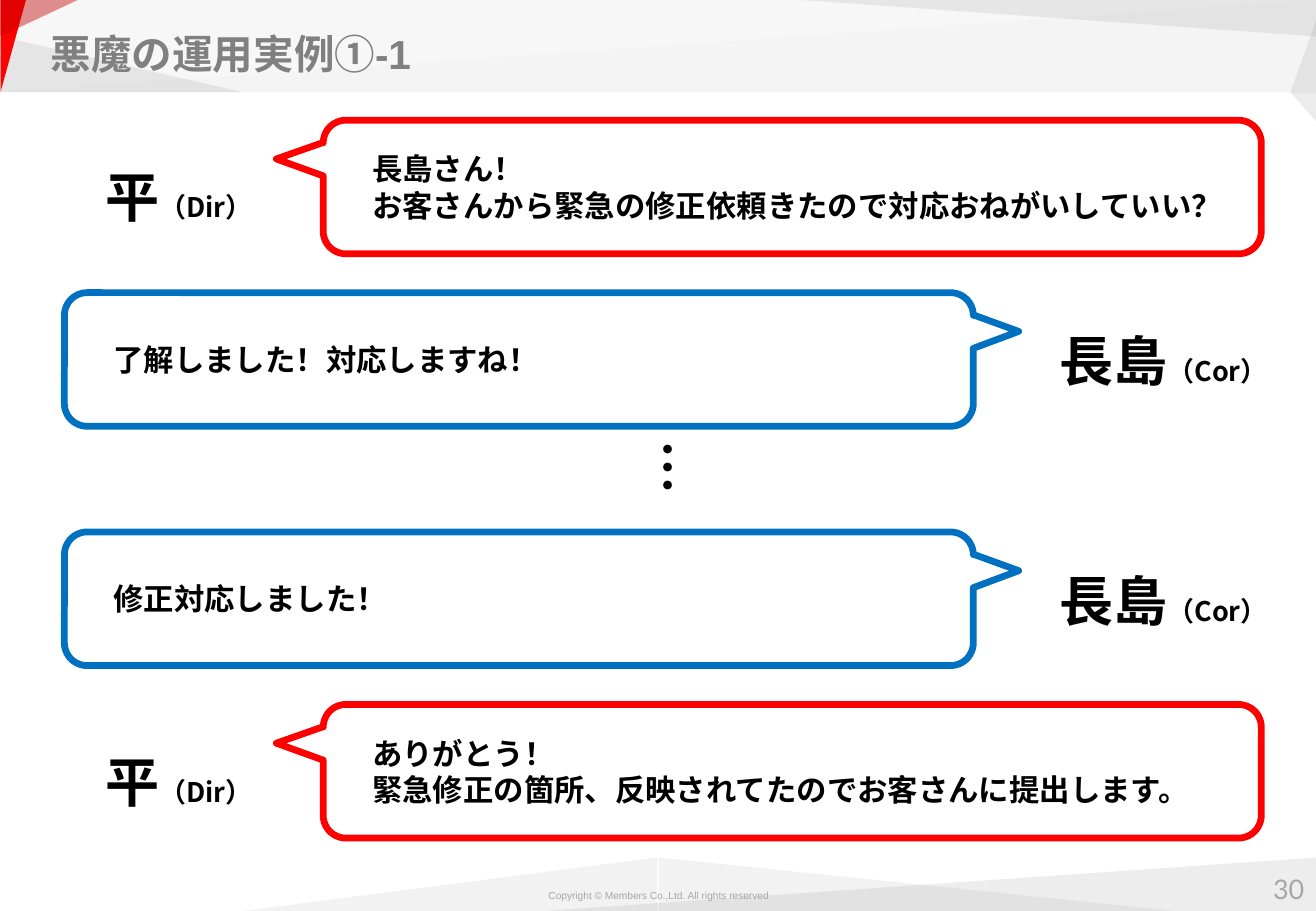
from pptx import Presentation, util as u
from pptx.dml.color import RGBColor
from pptx.enum import shapes, text
from pptx.oxml.ns import qn
from lxml import etree

theme = dict(
    red="FF0000", blue="0070C0", wine="C00000", black="000000", white="FFFFFF",
    gray="808080", mid="A6A6A6", pale="BFBFBF",
    sans="Arial", cjk="Noto Sans CJK JP", lato="Lato",
    title=24, name=32, role=16, talk=18, page=16, note=6, line=4)

cols, rows = 1083, 750
deck = Presentation()
deck.slide_width, deck.slide_height = u.Inches(10.83), u.Inches(7.5)
cell = deck.slide_width / cols
slide = deck.slides.add_slide(deck.slide_layouts[6])


def grid(*spans):
    return [u.Emu(round(n * cell)) for n in spans]


def write(shape, lines, font="sans", color="black", bold=True, align="LEFT",
          anchor="TOP", inset=(10, 5), pad=0, wrap=True):
    frame = shape.text_frame
    frame.word_wrap = wrap
    frame.vertical_anchor = text.MSO_ANCHOR[anchor]
    frame.margin_left = frame.margin_right = grid(inset[0])[0]
    frame.margin_top = frame.margin_bottom = grid(inset[1])[0]
    for i, line in enumerate(lines):
        para = frame.paragraphs[0] if i == 0 else frame.add_paragraph()
        para.alignment = text.PP_ALIGN[align]
        para._p.get_or_add_pPr().set("marL", str(grid(pad)[0]))
        for words, size in line:
            run = para.add_run()
            run.text = words
            run.font.size = u.Pt(theme[size])
            run.font.bold = bold
            run.font.name = theme[font]
            run.font.color.rgb = RGBColor.from_string(theme[color])
            east = etree.SubElement(run._r.get_or_add_rPr(), qn("a:ea"))
            east.set("typeface", theme[font])


facets = [
    (448, 706, 636, 44, 180, "V", "gray", 14),
    (542, 706, 425, 44, 0, "", "mid", 14),
    (200, 706, 341, 44, 0, "H", "mid", 14),
    (0, 0, 823, 76, 180, "H", "white", 36),
    (0, 0, cols, 76, 0, "V", "pale", 12),
    (0, 0, cols, 76, 180, "V", "mid", 12),
    (659, 0, 425, 30, 180, "", "gray", 14),
    (1043, 36, 59, 21, 270, "", "gray", 14),
    (0, 30, 200, 46, 0, "", "gray", 15),
    (-27, 27, 76, 21, 90, "", "red", 100),
    (17, -17, 30, 64, 90, "", "wine", 43),
    (1062, 76, 21, 24, 0, "HV", "gray", 15),
]
for x, y, w, h, turn, flips, color, alpha in facets:
    facet = slide.shapes.add_shape(
        shapes.MSO_SHAPE.RIGHT_TRIANGLE, *grid(x, y, w, h))
    facet.shadow.inherit = False
    facet.rotation = turn
    for axis in flips:
        facet._element.spPr.xfrm.set("flip" + axis, "1")
    facet.line.fill.background()
    facet.fill.solid()
    facet.fill.fore_color.rgb = RGBColor.from_string(theme[color])
    tint = facet._element.spPr.find(".//" + qn("a:srgbClr"))
    etree.SubElement(tint, qn("a:alpha")).set("val", str(alpha * 1000))

labels = [
    ((450, 732, 184, 10), "Copyright © Members Co.,Ltd. All rights reserved", "note",
     dict(color="mid", bold=False, align="CENTER", inset=(0, 0), wrap=False)),
    ((1041, 718, 39, 27), "30", "page",
     dict(font="lato", color="mid", bold=False, align="CENTER", inset=(0, 0), wrap=False)),
    ((30, 12, 1020, 64), "悪魔の運用実例①-1", "title",
     dict(color="gray", anchor="MIDDLE", inset=(12, 12))),
]
for spot, words, size, look in labels:
    write(slide.shapes.add_textbox(*grid(*spot)), [[(words, size)]], **look)

sides = {
    "平": dict(role="（Dir）", color="red", left=266, wide=772, tip=-0.55, name=77, drop=31, pad=0),
    "長島": dict(role="（Cor）", color="blue", left=53, wide=748, tip=0.55, name=852, drop=24, pad=10),
}
first, second, step, tall = 99, 438, 142, 110
talks = [
    (first, "平", ["長島さん！", "お客さんから緊急の修正依頼きたので対応おねがいしていい？"]),
    (first + step, "長島", ["了解しました！対応しますね！"]),
    (second, "長島", ["修正対応しました！"]),
    (second + step, "平", ["ありがとう！", "緊急修正の箇所、反映されてたのでお客さんに提出します。"]),
]
for top, who, lines in talks:
    side = sides[who]
    label = slide.shapes.add_textbox(*grid(side["name"], top + side["drop"], 303, 56))
    write(label, [[(who, "name"), (side["role"], "role")]], font="cjk", pad=side["pad"])
    bubble = slide.shapes.add_shape(
        shapes.MSO_SHAPE.ROUNDED_RECTANGULAR_CALLOUT,
        *grid(side["left"], top, side["wide"], tall))
    bubble.shadow.inherit = False
    for i, value in enumerate((side["tip"], -0.21, 0.17)):
        bubble.adjustments[i] = value
    bubble.fill.solid()
    bubble.fill.fore_color.rgb = RGBColor.from_string(theme["white"])
    bubble.line.color.rgb = RGBColor.from_string(theme[side["color"]])
    bubble.line.width = u.Pt(theme["line"])
    write(bubble, [[(line, "talk")] for line in lines], anchor="MIDDLE", pad=25)

dots = slide.shapes.add_textbox(*grid(491, 378, 126, 56))
dots.rotation = 90
write(dots, [[("…", "name")]], font="cjk", pad=10)

deck.save("out.pptx")
